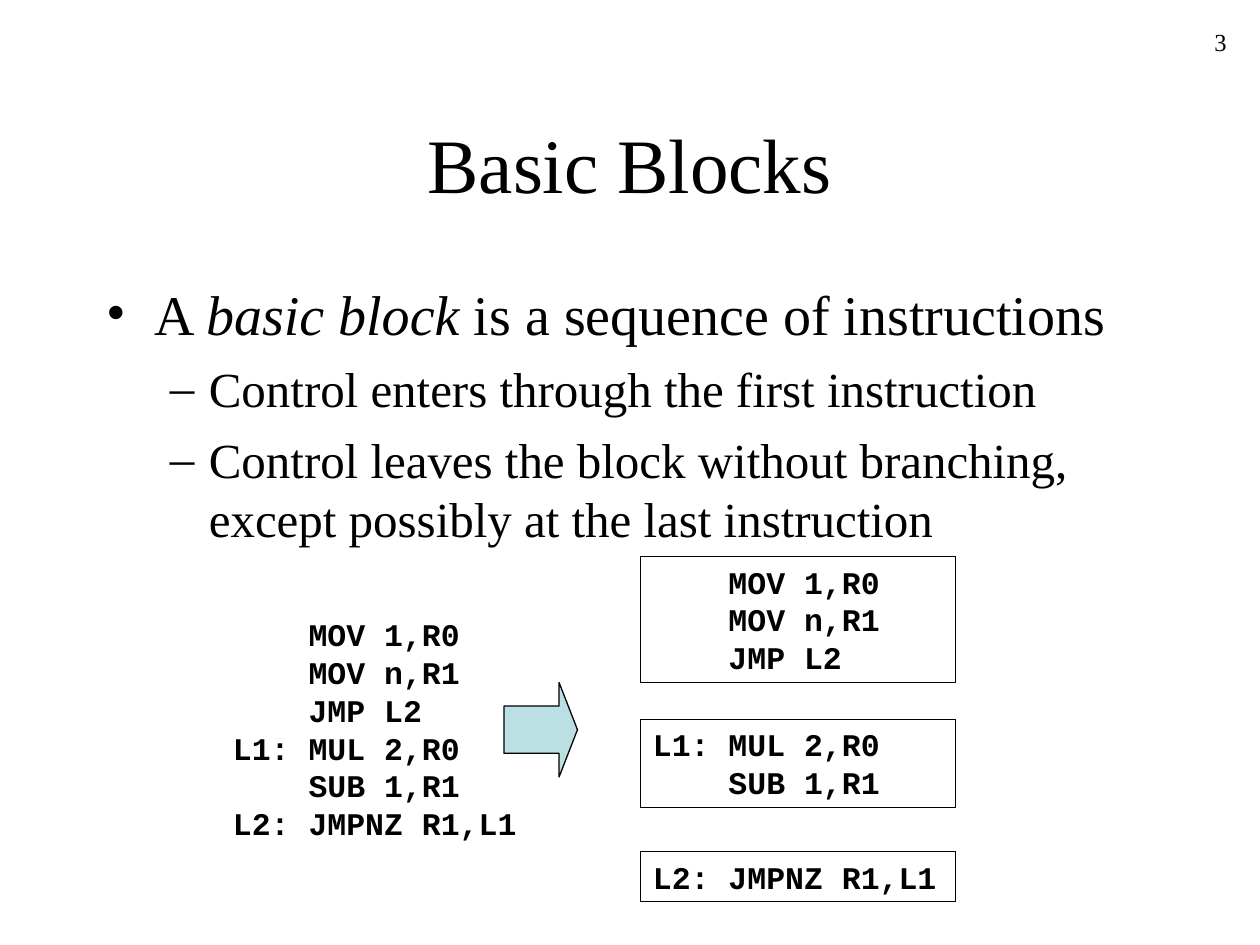
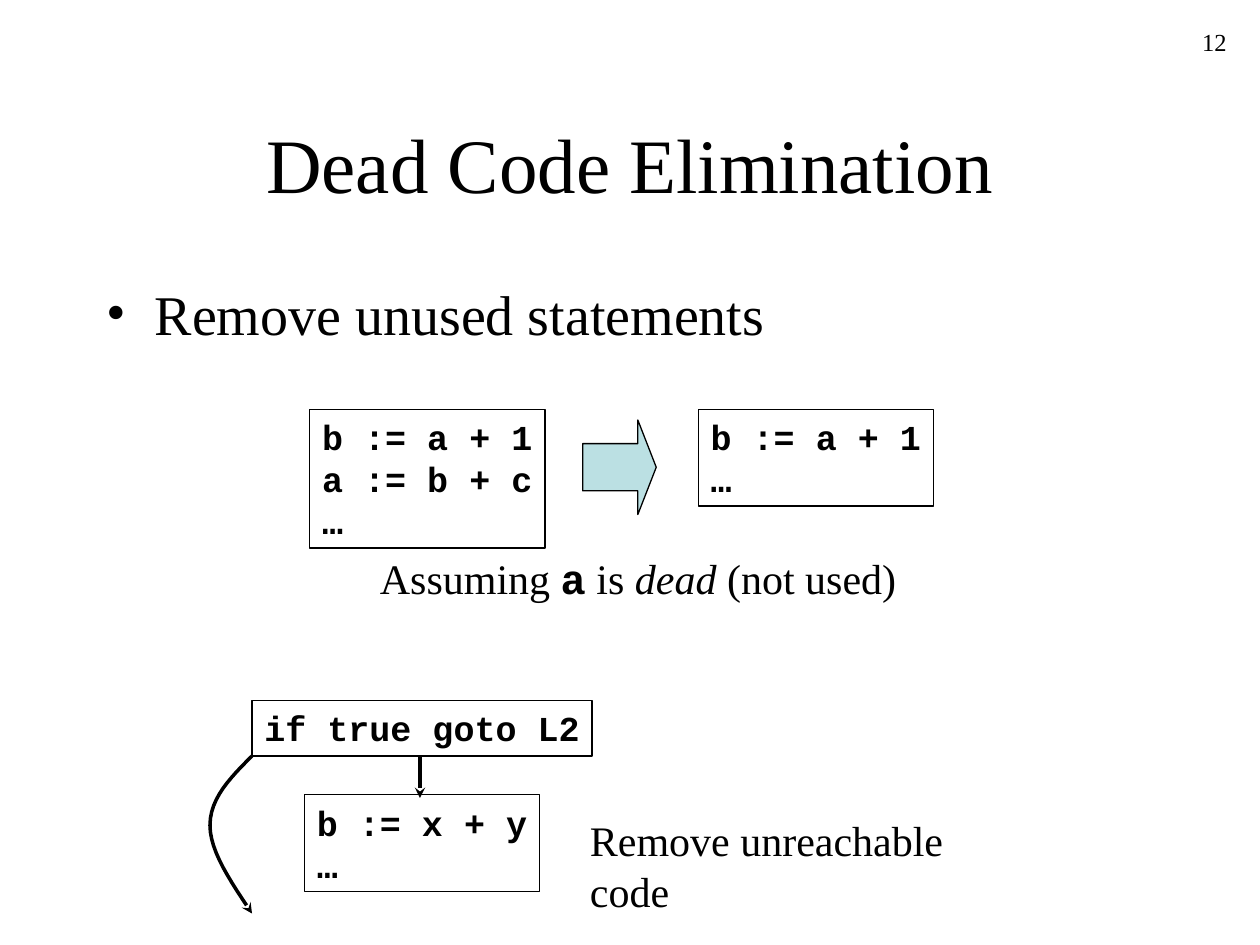
"""Build two slides on basic blocks and dead code."""
import dataclasses

import pptx
import pptx.dml.color
import pptx.enum.shapes
import pptx.enum.text
import pptx.oxml
import pptx.oxml.ns
import pptx.util

ALIGN = pptx.enum.text.PP_ALIGN
ANCHOR = pptx.enum.text.MSO_ANCHOR
SHAPE = pptx.enum.shapes.MSO_SHAPE
COLS, ROWS = 120, 90


@dataclasses.dataclass(frozen=True)
class Theme:
    """Hold the fonts, colours, type sizes and line widths."""
    serif: str = "Times New Roman"
    mono: str = "Courier New"
    ink: str = "000000"
    tint: str = "BBE0E3"
    title: int = 44
    lead: int = 32
    point: int = 28
    note: int = 24
    code: int = 20
    small: int = 18
    page: int = 14
    thin: float = 0.75
    thick: float = 2


THEME = Theme()
WIDTH, HEIGHT = pptx.util.Inches(10), pptx.util.Inches(7.5)


def place(left, top, wide, high):
    """Turn grid cells into slide lengths."""
    return (int(WIDTH * left / COLS), int(HEIGHT * top / ROWS),
            int(WIDTH * wide / COLS), int(HEIGHT * high / ROWS))


def paint(code):
    """Turn a hex code into a colour."""
    return pptx.dml.color.RGBColor.from_string(code)


def attach(parent, tag, **traits):
    """Add a drawing element with its attributes."""
    child = pptx.oxml.parse_xml(f"<a:{tag} {pptx.oxml.ns.nsdecls('a')}/>")
    for name, value in traits.items():
        child.set(name, str(value))
    parent.append(child)


def write(para, text, size, font=THEME.serif, bold=False, slant=False):
    """Add formatted text, with breaks between its lines."""
    for count, line in enumerate(text.split("\n")):
        if count:
            para.add_line_break()
        run = para.add_run()
        run.text = line
        run.font.name, run.font.size = font, pptx.util.Pt(size)
        run.font.bold, run.font.italic = bold, slant
        run.font.color.rgb = paint(THEME.ink)


def frame(shape, wrap=True, anchor=ANCHOR.TOP, align=ALIGN.LEFT):
    """Set up a text frame and return its first paragraph."""
    body = shape.text_frame
    body.word_wrap, body.vertical_anchor = wrap, anchor
    para = body.paragraphs[0]
    para.alignment = align
    return para


def label(slide, cells, **setup):
    """Add a text box and return its first paragraph."""
    return frame(slide.shapes.add_textbox(*place(*cells)), **setup)


def stroke(shape, weight):
    """Give a shape or a link a plain dark line."""
    shape.line.color.rgb = paint(THEME.ink)
    shape.line.width = pptx.util.Pt(weight)


def point(shape):
    """Thicken a line and put an arrowhead at its end."""
    stroke(shape, THEME.thick)
    attach(shape.line._get_or_add_ln(), "tailEnd", type="stealth")


def block(slide, cells, text, size=THEME.code, wrap=False):
    """Add a framed block of code."""
    shape = slide.shapes.add_shape(SHAPE.RECTANGLE, *place(*cells))
    shape.shadow.inherit = False
    shape.fill.background()
    stroke(shape, THEME.thin)
    write(frame(shape, wrap=wrap), text, size, font=THEME.mono, bold=True)


def arrow(slide, left, top):
    """Add a tinted block arrow."""
    shape = slide.shapes.add_shape(SHAPE.RIGHT_ARROW, *place(left, top, 7, 9))
    shape.shadow.inherit = False
    shape.adjustments[0], shape.adjustments[1] = 0.5, 0.25
    shape.fill.solid()
    shape.fill.fore_color.rgb = paint(THEME.tint)
    stroke(shape, THEME.thin)


def link(slide, start, end):
    """Add a straight arrow between two grid points."""
    shape = slide.shapes.add_connector(
        pptx.enum.shapes.MSO_CONNECTOR.STRAIGHT, *place(*start, *end))
    point(shape)
    attach(shape._element.spPr, "effectLst")


def bend(knots, steps=12):
    """Yield grid points along one cubic curve."""
    for step in range(1, steps + 1):
        t = step / steps
        parts = (1 - t) ** 3, 3 * t * (1 - t) ** 2, 3 * t * t * (1 - t), t ** 3
        yield tuple(sum(part * knot[axis] for part, knot in zip(parts, knots))
                    for axis in (0, 1))


def curve(slide, knots):
    """Add a curved arrow through a chain of cubic curves."""
    spots = [spot for first in range(0, len(knots) - 1, 3)
             for spot in bend(knots[first:first + 4])]
    path = [place(*spot, 0, 0)[:2] for spot in spots]
    build = slide.shapes.build_freeform(*place(*knots[0], 0, 0)[:2])
    build.add_line_segments(path, close=False)
    shape = build.convert_to_shape()
    shape.shadow.inherit = False
    shape.fill.background()
    point(shape)


def bullet(para, sign, left, hang):
    """Give a paragraph a hanging bullet."""
    props = para._p.get_or_add_pPr()
    props.set("marL", str(pptx.util.Inches(left)))
    props.set("indent", str(-pptx.util.Inches(hang)))
    attach(props, "buFont", typeface=THEME.serif)
    attach(props, "buChar", char=sign)


def start(deck, number, title, lead, points=()):
    """Add a slide with its number, title and bullets."""
    slide = deck.slides.add_slide(deck.slide_layouts[6])
    write(label(slide, (93, 2, 25, 6), align=ALIGN.RIGHT), number, THEME.page)
    write(label(slide, (9, 8, 102, 15), anchor=ANCHOR.MIDDLE,
                align=ALIGN.CENTER), title, THEME.title)
    shape = slide.shapes.add_textbox(*place(9, 26, 102, 54))
    para = frame(shape)
    bullet(para, "•", 0.38, 0.38)
    for text, slant in lead:
        write(para, text, THEME.lead, slant=slant)
    for text in points:
        para = shape.text_frame.add_paragraph()
        bullet(para, "–", 0.81, 0.31)
        para.space_before = pptx.util.Pt(7)
        write(para, text, THEME.point)
    return slide


def basic(deck):
    """Build the slide that splits code into blocks."""
    slide = start(
        deck, "3", "Basic Blocks",
        [("A ", False), ("basic block ", True),
         ("is a sequence of instructions", False)],
        ["Control enters through the first instruction",
         "Control leaves the block without branching, "
         "except possibly at the last instruction"])
    parts = ["    MOV 1,R0\n    MOV n,R1\n    JMP L2",
             "L1: MUL 2,R0\n    SUB 1,R1", "L2: JMPNZ R1,L1"]
    write(label(slide, (21, 58, 29.4, 22.8), wrap=False), "\n".join(parts),
          THEME.small, font=THEME.mono, bold=True)
    for text, top, high in zip(parts, (53, 68.5, 81.1), (12, 8.4, 4.8)):
        block(slide, (61, top, 30, high), text, size=THEME.small, wrap=True)
    arrow(slide, 48, 65)


def dead(deck):
    """Build the slide on unused and unreachable code."""
    slide = start(deck, "12", "Dead Code Elimination",
                  [("Remove unused statements", False)])
    block(slide, (29.5, 39, 22.4, 13.2), "b := a + 1\na := b + c\n…")
    block(slide, (66.5, 39, 22.4, 9.2), "b := a + 1\n…")
    arrow(slide, 55.5, 40)
    para = label(slide, (35, 52, 51.6, 6), wrap=False)
    write(para, "Assuming ", THEME.note)
    write(para, "a", THEME.note, font=THEME.mono, bold=True)
    write(para, " is ", THEME.note)
    write(para, "dead", THEME.note, slant=True)
    write(para, " (not used)", THEME.note)
    block(slide, (29, 75.7, 22.4, 9.2), "b := x + y\n…")
    block(slide, (24, 66.7, 32.4, 5.3), "if true goto L2")
    curve(slide, [(24, 72), (22, 74), (20, 76), (20, 78.6),
                  (20, 81.1), (22, 84), (24, 87)])
    link(slide, (40, 72), (40, 76))
    write(label(slide, (55, 77, 44.5, 6), wrap=False),
          "Remove unreachable code", THEME.note)


def main():
    """Build and save the deck."""
    deck = pptx.Presentation()
    deck.slide_width, deck.slide_height = WIDTH, HEIGHT
    basic(deck)
    dead(deck)
    deck.save("out.pptx")


if __name__ == "__main__":
    main()
